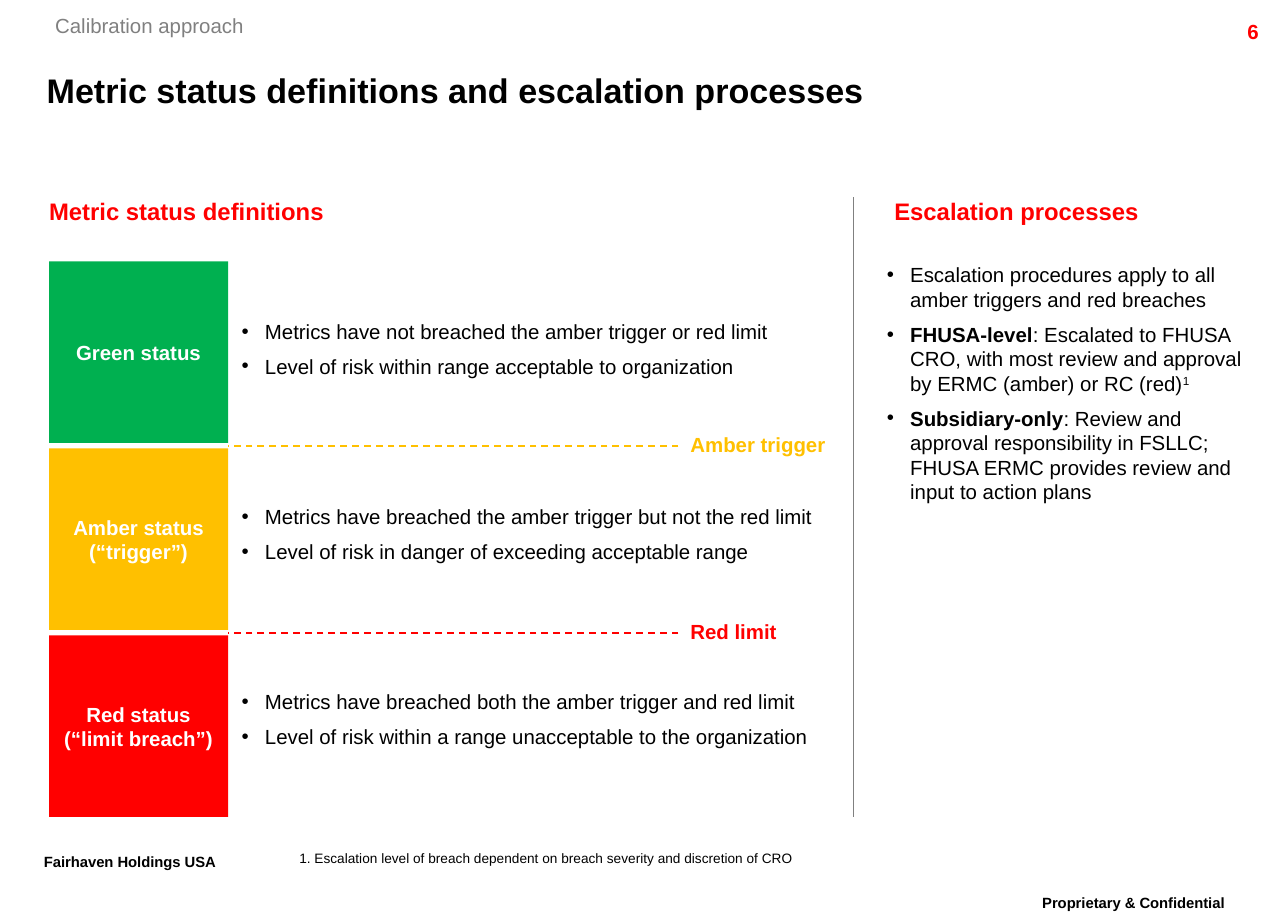
from lxml import etree
from pptx import Presentation
from pptx.dml.color import RGBColor
from pptx.enum.dml import MSO_LINE
from pptx.enum.shapes import MSO_CONNECTOR, MSO_SHAPE
from pptx.enum.text import MSO_ANCHOR, PP_ALIGN
from pptx.oxml.ns import qn
from pptx.util import Inches, Pt

LEFT, CENTER, RIGHT = PP_ALIGN.LEFT, PP_ALIGN.CENTER, PP_ALIGN.RIGHT
TOP, MIDDLE = MSO_ANCHOR.TOP, MSO_ANCHOR.MIDDLE
RECT, STRAIGHT, DASH = MSO_SHAPE.RECTANGLE, MSO_CONNECTOR.STRAIGHT, MSO_LINE.DASH
BLACK, WHITE, GRAY = "000000", "FFFFFF", "808080"
GREEN, AMBER, RED = "00B050", "FFC000", "FF0000"
PAD = (0.1, 0.05)
FLUSH = (0, 0)


def color(code):
    return RGBColor.from_string(code)


class Page:
    font = "Arial"
    indent = 0.19
    gap = 6

    def __init__(self, slide):
        self.shapes = slide.shapes

    def fill(self, frame, paras, size, tint, bold=False, align=LEFT,
             pad=FLUSH, anchor=TOP, wrap=True, bullet=False, raised=False, lead=None):
        """Write paragraphs; each is a string or a list of (text, bold, raised) runs."""
        frame.word_wrap = wrap
        frame.vertical_anchor = anchor
        frame.margin_left = frame.margin_right = Inches(pad[0])
        frame.margin_top = frame.margin_bottom = Inches(pad[1])
        for i, runs in enumerate(paras):
            para = frame.add_paragraph() if i else frame.paragraphs[0]
            para.alignment = align
            if lead:
                para.line_spacing = lead
            if bullet:
                self.bullet(para)
            if isinstance(runs, str):
                runs = [(runs, bold, raised)]
            for words, strong, high in runs:
                run = para.add_run()
                run.text = words
                run.font.name = self.font
                run.font.size = Pt(size)
                run.font.bold = strong
                run.font.color.rgb = color(tint)
                if high:
                    run.font._element.set("baseline", "30000")

    def bullet(self, para):
        para.space_after = Pt(self.gap)
        props = para._p.get_or_add_pPr()
        props.set("marL", str(Inches(self.indent)))
        props.set("indent", str(-Inches(self.indent)))
        etree.SubElement(props, qn("a:buFont")).set("typeface", self.font)
        etree.SubElement(props, qn("a:buChar")).set("char", "•")

    def text(self, at, paras, size, tint, **style):
        box = self.shapes.add_textbox(*map(Inches, at))
        self.fill(box.text_frame, paras, size, tint, **style)

    def block(self, at, paras, tint):
        box = self.shapes.add_shape(RECT, *map(Inches, at))
        box.shadow.inherit = False
        box.fill.solid()
        box.fill.fore_color.rgb = color(tint)
        box.line.fill.background()
        self.fill(box.text_frame, paras, 12, WHITE, bold=True,
                  align=CENTER, pad=PAD, anchor=MIDDLE)

    def line(self, ends, tint, width, dash=None):
        line = self.shapes.add_connector(STRAIGHT, *map(Inches, ends))
        line.line.color.rgb = color(tint)
        line.line.width = Pt(width)
        if dash:
            line.line.dash_style = dash
        etree.SubElement(line._element.spPr, qn("a:effectLst"))


STATES = [
    (["Green status"], GREEN,
     ["Metrics have not breached the amber trigger or red limit",
      "Level of risk within range acceptable to organization"]),
    (["Amber status", "(“trigger”)"], AMBER,
     ["Metrics have breached the amber trigger but not the red limit",
      "Level of risk in danger of exceeding acceptable range"]),
    (["Red status", "(“limit breach”)"], RED,
     ["Metrics have breached both the amber trigger and red limit",
      "Level of risk within a range unacceptable to the organization"]),
]
LIMITS = [("Amber trigger", AMBER), ("Red limit", RED)]
STEPS = [
    "Escalation procedures apply to all amber triggers and red breaches",
    [("FHUSA-level", True, False),
     (": Escalated to FHUSA CRO, with most review and approval by ERMC (amber) or RC (red)",
      False, False),
     ("1", False, True)],
    [("Subsidiary-only", True, False),
     (": Review and approval responsibility in FSLLC; "
      "FHUSA ERMC provides review and input to action plans", False, False)],
]
START, PITCH, SIDE = 2.13, 1.525, 1.48


def main():
    deck = Presentation()
    deck.slide_width, deck.slide_height = Inches(10.5), Inches(7.5)
    page = Page(deck.slides.add_slide(deck.slide_layouts[6]))

    page.text((0.45, 0.11, 1.54, 0.2), ["Calibration approach"], 12, GRAY, wrap=False)
    page.text((9.36, 0.11, 1, 0.24), ["6"], 12, RED, bold=True, align=RIGHT, pad=PAD)
    page.text((0.38, 0.49, 9.48, 0.48),
              ["Metric status definitions and escalation processes"],
              20, BLACK, bold=True, anchor=MIDDLE)
    for left, width, head in [(0.4, 4.73, "Metric status definitions"),
                              (7.29, 2.81, "Escalation processes")]:
        page.text((left, 1.6, width, 0.24), [head], 14, RED, bold=True)

    for i, (name, tint, points) in enumerate(STATES):
        page.block((0.4, START + i * PITCH, 1.46, SIDE), name, tint)
        page.text((1.97, 2.6 + i * 1.51, 5.13, 0.5), points, 12, BLACK, bullet=True)
    for i, (name, tint) in enumerate(LIMITS, 1):
        y = START + i * PITCH - 0.02
        page.line((5.53, y, 1.86, y), tint, 1, DASH)
        page.text((5.53, y - 0.16, 1.46, 0.31), [name], 12, tint, bold=True, pad=PAD)

    page.line((6.96, 1.61, 6.96, 6.66), GRAY, 0.75)
    page.text((7.23, 2.14, 2.9, 1.99), STEPS, 12, BLACK, bullet=True)

    page.text((2.44, 6.93, 5.47, 0.13),
              ["1. Escalation level of breach dependent on breach severity and discretion of CRO"],
              8, BLACK)
    for at, words, align in [((0.26, 6.91, 1.91, 0.35), "Fairhaven Holdings USA", LEFT),
                             ((8.15, 7.25, 2.18, 0.35), "Proprietary & Confidential", CENTER)]:
        page.text(at, [words], 15, BLACK, bold=True, align=align, pad=PAD,
                  wrap=align == CENTER, raised=True, lead=0.86)
    deck.save("out.pptx")


if __name__ == "__main__":
    main()
